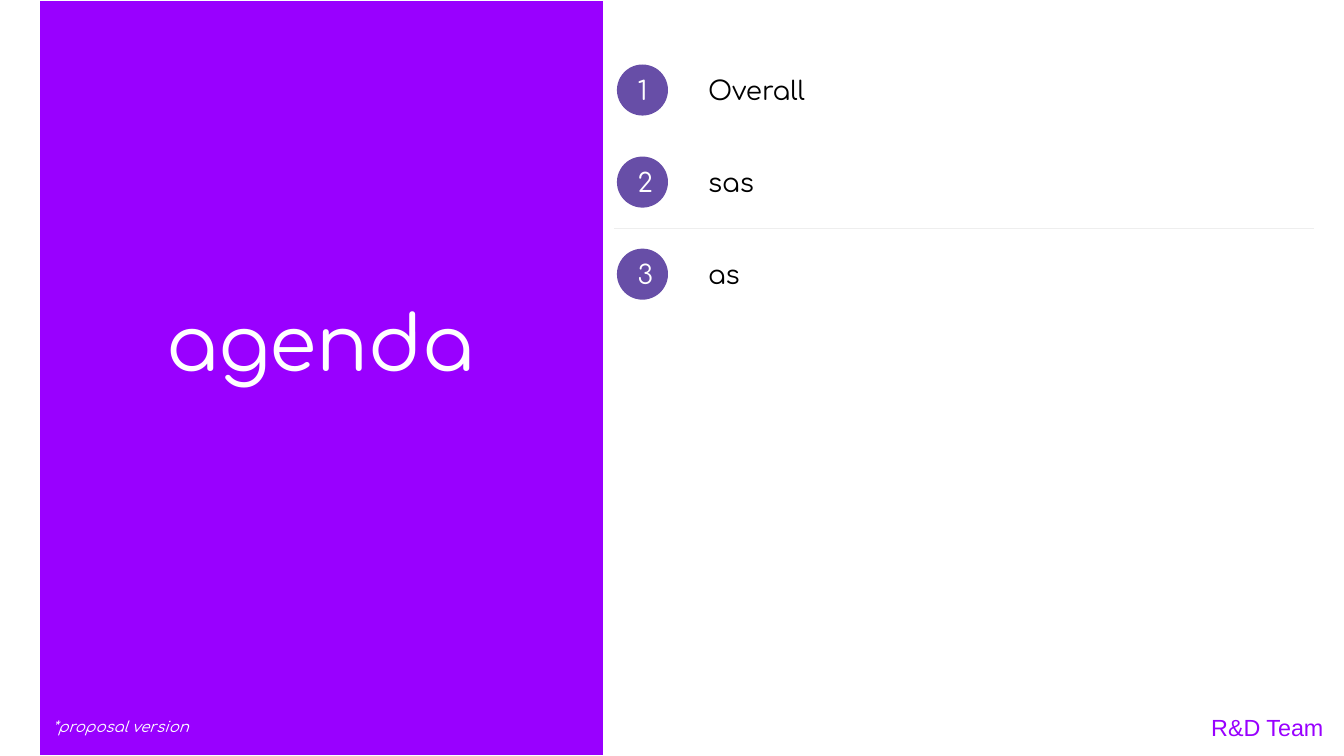
from lxml.etree import SubElement
from pptx import Presentation
from pptx.dml.color import RGBColor
from pptx.enum.shapes import MSO_CONNECTOR, MSO_SHAPE
from pptx.enum.text import MSO_ANCHOR, PP_ALIGN
from pptx.oxml.ns import qn
from pptx.util import Inches, Pt

COLORS = {
    "panel": "9900FF",
    "badge": "674EA7",
    "divider": "EEEEEE",
    "light": "FFFFFF",
    "dark": "000000",
}
ITEMS = ["Overall", "sas", "as"]
SLIDE_WIDTH = 10
SLIDE_HEIGHT = SLIDE_WIDTH * 9 / 16


def color(name):
    """Return the named palette colour."""
    return RGBColor.from_string(COLORS[name])


def write_text(shape, text, size=14, font="Comfortaa", ink="dark", align=PP_ALIGN.LEFT,
               anchor=MSO_ANCHOR.TOP, italic=None, line_spacing=None):
    """Fill a shape with one formatted paragraph."""
    frame = shape.text_frame
    frame.word_wrap = True
    frame.vertical_anchor = anchor
    frame.margin_left = frame.margin_right = Inches(0.1)
    frame.margin_top = frame.margin_bottom = Inches(0.1)
    paragraph = frame.paragraphs[0]
    paragraph.alignment = align
    paragraph.line_spacing = line_spacing
    run = paragraph.add_run()
    run.text = text
    run.font.size = Pt(size)
    run.font.name = font
    run.font.italic = italic
    run.font.color.rgb = color(ink)


def add_text(slide, left, top, width, height, text, **text_format):
    """Add a text box with formatted text."""
    box = slide.shapes.add_textbox(Inches(left), Inches(top), Inches(width), Inches(height))
    write_text(box, text, **text_format)


def add_filled_shape(slide, kind, left, top, width, height, fill, outline=None):
    """Add a flat preset shape and return it."""
    shape = slide.shapes.add_shape(kind, Inches(left), Inches(top), Inches(width), Inches(height))
    shape.shadow.inherit = False
    shape.fill.solid()
    shape.fill.fore_color.rgb = color(fill)
    if outline:
        shape.line.color.rgb = color(outline)
        shape.line.width = Pt(0.75)
    else:
        shape.line.fill.background()
    return shape


def add_divider(slide, left, top, width):
    """Add a thin horizontal line."""
    line = slide.shapes.add_connector(
        MSO_CONNECTOR.STRAIGHT, Inches(left), Inches(top), Inches(left + width), Inches(top))
    line.line.color.rgb = color("divider")
    line.line.width = Pt(0.75)
    SubElement(line._element.spPr, qn("a:effectLst"))


def add_title_panel(slide, left, top, width, height):
    """Draw the coloured panel with its title and footnote."""
    add_filled_shape(slide, MSO_SHAPE.RECTANGLE, left, top, width, height, "panel", "light")
    add_text(slide, left, top + 1.57, width - 0.01, 1.93, "agenda", size=41, ink="light",
             align=PP_ALIGN.CENTER, anchor=MSO_ANCHOR.MIDDLE)
    add_text(slide, left, top + 5.27, width - 0.07, 0.34, "*proposal version",
             size=8, ink="light", italic=True)


def add_agenda_list(slide, left, top, width, height, items):
    """Draw evenly spaced numbered rows with a divider after the second."""
    row_height, badge = 0.44, 0.38
    pitch = (height - row_height) / (len(items) - 1)
    for index, item in enumerate(items):
        row_top = top + index * pitch
        circle = add_filled_shape(slide, MSO_SHAPE.OVAL, left + 0.02, row_top + 0.03,
                                  badge, badge, "badge")
        write_text(circle, str(index + 1), ink="light", anchor=MSO_ANCHOR.MIDDLE)
        add_text(slide, left + 0.6, row_top, width - 0.08, row_height, item)
    add_divider(slide, left, top + 1.25, width)


def main():
    """Build and save the agenda slide."""
    presentation = Presentation()
    presentation.slide_width = Inches(SLIDE_WIDTH)
    presentation.slide_height = Inches(SLIDE_HEIGHT)
    slide = presentation.slides.add_slide(presentation.slide_layouts[6])
    add_title_panel(slide, 0.29, 0, 4.2, SLIDE_HEIGHT)
    add_agenda_list(slide, 4.57, 0.45, 5.21, 1.81, ITEMS)
    add_text(slide, 8.86, 5.24, 1.14, 0.38, "R&D Team", size=12.5, font="Arial", ink="panel",
             align=PP_ALIGN.CENTER, anchor=MSO_ANCHOR.MIDDLE, line_spacing=0.8)
    presentation.save("out.pptx")


if __name__ == "__main__":
    main()
